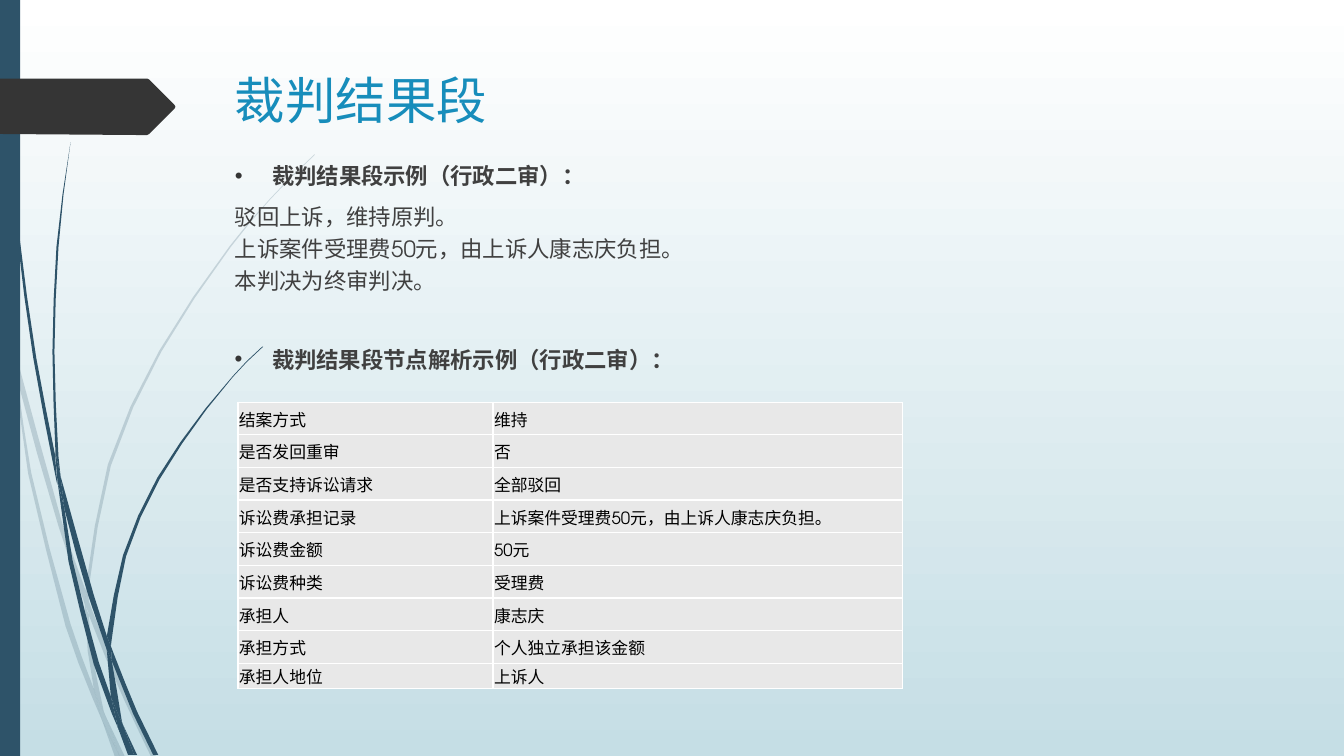
import math

from lxml import etree
from pptx import Presentation
from pptx import util as u
from pptx.dml.color import RGBColor
from pptx.enum import shapes, text
from pptx.oxml.ns import qn

COLORS = {"navy": "2E5369", "dark": "353535", "title": "178DBB", "body": "404040",
          "black": "000000", "white": "FFFFFF", "cell": "E8E8E8", "sky": "C5DEE5"}
FONT, CJK_FONT = "TeX Gyre Adventor", "Noto Sans CJK SC"

# Each blade piece has two edges: one going out, one coming back.
PALE_GRASS = [
    ([(0.11, 3.5), (0.09, 3.22), (0, 2.82)], [(0, 2.99), (0.1, 3.44)]),
    ([(0.14, 3.45), (0.17, 3.76), (0.58, 5.22), (0.84, 5.99)],
     [(0.85, 5.86), (0.62, 5.2), (0.14, 3.45)]),
    ([(0.88, 5.96), (0.88, 6.1), (1.23, 6.94), (1.5, 7.51)],
     [(1.55, 7.51), (1.27, 6.92), (0.92, 6.07)]),
    ([(1.19, 7.51), (1.24, 7.51)], [(1.05, 7.11)]),
    ([(0.93, 6.83), (0.7, 6.19), (0.31, 4.69), (0.17, 3.76), (0.11, 3.5)],
     [(0.28, 4.7), (0.65, 6.21), (0.92, 6.93), (1.01, 7.14), (0.99, 7.07)]),
    ([(0.84, 5.99), (0.87, 6.46), (0.93, 6.83), (0.96, 6.92), (1.05, 7.11)],
     [(1.03, 7.06), (0.91, 6.46), (0.88, 6.1)]),
    ([(0.88, 5.96), (0.88, 5.84), (1.1, 4.62), (1.6, 3.49), (2.29, 2.45), (2.68, 1.98),
      (2.9, 1.75), (3.12, 1.54)],
     [(3.12, 1.53), (2.89, 1.75), (2.68, 1.97), (2.28, 2.44), (1.58, 3.48), (1.07, 4.61),
      (0.85, 5.84), (0.85, 5.86)]),
    ([(1.01, 7.14), (1.14, 7.51)], [(1.19, 7.51)]),
    ([(0.88, 6.1), (0.88, 5.96)], [(0.85, 5.86), (0.84, 5.99), (0.88, 6.08)]),
    ([(0.93, 6.83), (0.99, 7.07), (1.01, 7.14), (1.19, 7.51)],
     [(1.05, 7.11), (0.96, 6.92)]),
]
DARK_GRASS = [
    ([(0.03, 0), (0.04, 0.48), (0.07, 1.1), (0.17, 2.33), (0.33, 3.55), (0.56, 4.77),
      (0.57, 4.81)],
     [(0.55, 4.57), (0.55, 4.53), (0.36, 3.55), (0.19, 2.32), (0.08, 1.09), (0.05, 0.48),
      (0.04, 0)]),
    ([(0.6, 4.72), (0.64, 5.05), (0.88, 5.92), (1.06, 6.45)],
     [(1.06, 6.33), (1.06, 6.31), (0.93, 5.9), (0.6, 4.72)]),
    ([(1.1, 6.41), (1.11, 6.56), (1.32, 7.08), (1.52, 7.49)],
     [(1.57, 7.49), (1.36, 7.06), (1.13, 6.49)]),
    ([(1.1, 6.91), (0.98, 6.57), (0.72, 5.56), (0.64, 5.05), (0.57, 4.77)],
     [(0.68, 5.57), (0.93, 6.59), (1.11, 7.08), (1.17, 7.22), (1.16, 7.17)]),
    ([(0.6, 4.72), (0.58, 4.53), (0.54, 3.49), (0.58, 2.45), (0.63, 1.93), (0.7, 1.41)],
     [(0.7, 1.41), (0.62, 1.93), (0.56, 2.45), (0.52, 3.49), (0.55, 4.49)]),
    ([(1.33, 7.49), (1.36, 7.49)], [(1.22, 7.19)]),
    ([(0.57, 4.77), (0.64, 5.05)], [(0.6, 4.72), (0.55, 4.49), (0.55, 4.53)]),
    ([(1.1, 6.41), (1.11, 6.33), (1.25, 5.52), (1.58, 4.76), (2.05, 4.06), (2.31, 3.74),
      (2.45, 3.59), (2.61, 3.44)],
     [(2.6, 3.44), (2.45, 3.58), (2.31, 3.73), (2.04, 4.05), (1.56, 4.74), (1.22, 5.51),
      (1.06, 6.31)]),
    ([(1.17, 7.22), (1.27, 7.49)], [(1.31, 7.49)]),
    ([(1.06, 6.45), (1.1, 6.91), (1.16, 7.06), (1.22, 7.19)],
     [(1.21, 7.16), (1.11, 6.56), (1.09, 6.51)]),
    ([(1.06, 6.45), (1.09, 6.51), (1.11, 6.56)], [(1.1, 6.41), (1.06, 6.31)]),
    ([(1.1, 6.91), (1.16, 7.17), (1.17, 7.22), (1.3, 7.49)],
     [(1.33, 7.49), (1.22, 7.19), (1.16, 7.06)]),
]
ARROW = [(0, 0.78), (1.46, 0.78), (1.48, 0.79), (1.73, 1.04), (1.74, 1.06), (1.73, 1.08),
         (1.48, 1.33), (1.46, 1.34), (1.36, 1.34), (0, 1.33)]
RULING = ["驳回上诉，维持原判。", "上诉案件受理费50元，由上诉人康志庆负担。", "本判决为终审判决。"]
NODES = [("结案方式", "维持"), ("是否发回重审", "否"), ("是否支持诉讼请求", "全部驳回"),
         ("诉讼费承担记录", "上诉案件受理费50元，由上诉人康志庆负担。"), ("诉讼费金额", "50元"),
         ("诉讼费种类", "受理费"), ("承担人", "康志庆"), ("承担方式", "个人独立承担该金额"),
         ("承担人地位", "上诉人")]


def rgb(name):
    return RGBColor.from_string(COLORS[name])


def direction(a, b):
    length = math.dist(a, b) or 1
    return (b[0] - a[0]) / length, (b[1] - a[1]) / length


def bend(edge):
    """Add a midpoint, bowed along the curve, to every long stretch of an edge."""
    padded = [edge[0], *edge, edge[-1]]
    curve = [edge[0]]
    for a, b, c, d in zip(padded, padded[1:], padded[2:], padded[3:]):
        length = math.dist(b, c)
        if length > 0.6:
            start, end = direction(a, c), direction(b, d)
            curve.append(tuple((p + q) / 2 + (m - n) * length / 8
                               for p, q, m, n in zip(b, c, start, end)))
        curve.append(c)
    return curve


def write(p, content, size=16, color="body", bold=False, font=FONT, ea=FONT,
          before=0, after=0, spacing=1.0, bullet=False):
    p.alignment = text.PP_ALIGN.LEFT
    p.space_before, p.space_after = u.Pt(before), u.Pt(after)
    p.line_spacing = spacing
    r = p.add_run()
    r.text = content
    r.font.size, r.font.bold, r.font.name = u.Pt(size), bold, font
    r.font.color.rgb = rgb(color)
    etree.SubElement(r.font._element, qn("a:ea"), typeface=ea)
    if bullet:
        pPr = p._p.get_or_add_pPr()
        pPr.set("marL", str(u.Inches(0.37)))
        pPr.set("indent", str(u.Inches(-0.37)))
        clr = etree.SubElement(pPr, qn("a:buClr"))
        etree.SubElement(clr, qn("a:srgbClr"), val=COLORS["dark"])
        etree.SubElement(pPr, qn("a:buFont"), typeface="Arial")
        etree.SubElement(pPr, qn("a:buChar"), char="•")


class SlideBuilder:
    def __init__(self, prs):
        self.s = prs.slides.add_slide(prs.slide_layouts[5])

    def background(self, top, bottom):
        fill = self.s.background.fill
        fill.gradient()
        fill.gradient_angle = 270
        for stop, position, color in zip(fill.gradient_stops, (0, 1), (top, bottom)):
            stop.position, stop.color.rgb = position, rgb(color)

    def paint(self, sp, color, opacity=100):
        sp.shadow.inherit = False
        sp.fill.solid()
        sp.fill.fore_color.rgb = rgb(color)
        sp.line.fill.background()
        if opacity < 100:
            clr = sp._element.spPr.find(qn("a:solidFill"))[0]
            etree.SubElement(clr, qn("a:alpha"), val=str(opacity * 1000))

    def outline(self, parent, points, color, opacity=100):
        emu = [(u.Inches(x), u.Inches(y)) for x, y in points]
        builder = parent.shapes.build_freeform(*emu[0])
        builder.add_line_segments(emu[1:], close=True)
        self.paint(builder.convert_to_shape(), color, opacity)

    def grass(self, pieces, opacity=100):
        group = self.s.shapes.add_group_shape()
        for out, back in pieces:
            self.outline(group, bend(out) + bend(back), "navy", opacity)

    def rect(self, x, y, w, h, color):
        sp = self.s.shapes.add_shape(shapes.MSO_SHAPE.RECTANGLE, *map(u.Inches, (x, y, w, h)))
        self.paint(sp, color)

    def title(self, x, y, w, h, content):
        sp = self.s.shapes.title
        sp.left, sp.top, sp.width, sp.height = map(u.Inches, (x, y, w, h))
        tf = sp.text_frame
        tf.auto_size, tf.vertical_anchor = text.MSO_AUTO_SIZE.NONE, text.MSO_ANCHOR.TOP
        write(tf.paragraphs[0], content, size=36, color="title")

    def textbox(self, x, y, w, h, heading, lines=(), after=0):
        tf = self.s.shapes.add_textbox(*map(u.Inches, (x, y, w, h))).text_frame
        tf.word_wrap = True
        write(tf.paragraphs[0], heading, bold=True, before=10, after=after, bullet=True)
        for line in lines:
            write(tf.add_paragraph(), line, spacing=1.2)

    def table(self, x, y, widths, heights, rows):
        size = (x, y, sum(widths), sum(heights))
        tbl = self.s.shapes.add_table(len(rows), len(widths), *map(u.Inches, size)).table
        tbl.first_row = tbl.horz_banding = False
        for col, width in zip(tbl.columns, widths):
            col.width = u.Inches(width)
        for row, height, values in zip(tbl.rows, heights, rows):
            row.height = u.Inches(height)
            for cell, value in zip(row.cells, values):
                self.cell(cell, value)

    def cell(self, cell, value):
        cell.margin_left = cell.margin_right = cell.margin_top = u.Inches(0.01)
        cell.margin_bottom = 0
        cell.vertical_anchor = text.MSO_ANCHOR.MIDDLE
        tcPr = cell._tc.get_or_add_tcPr()
        for side in ("lnL", "lnR", "lnT", "lnB"):
            ln = etree.SubElement(tcPr, qn("a:" + side), w=str(u.Pt(1)))
            fill = etree.SubElement(ln, qn("a:solidFill"))
            etree.SubElement(fill, qn("a:srgbClr"), val=COLORS["white"])
        cell.fill.solid()
        cell.fill.fore_color.rgb = rgb("cell")
        font = CJK_FONT if value == "个人独立承担该金额" else FONT
        write(cell.text_frame.paragraphs[0], value, size=12, color="black", font=font, ea=CJK_FONT)


def main():
    prs = Presentation()
    prs.slide_width, prs.slide_height = u.Inches(13.33), u.Inches(7.5)
    b = SlideBuilder(prs)
    b.background("white", "sky")
    b.grass(PALE_GRASS, opacity=20)
    b.grass(DARK_GRASS)
    b.rect(0, 0, 0.2, 7.5, "navy")
    b.outline(b.s, ARROW, "dark")
    b.title(2.23, 0.64, 3.43, 0.81, "裁判结果段")
    b.textbox(2.23, 1.56, 5.75, 1.72, "裁判结果段示例（行政二审）：", RULING, after=6)
    b.textbox(2.23, 3.38, 4.76, 0.39, "裁判结果段节点解析示例（行政二审）：")
    b.table(2.36, 3.99, [2.53, 4.06], [2.59 / 8] * 8 + [0.25], NODES)
    prs.save("out.pptx")


if __name__ == "__main__":
    main()
